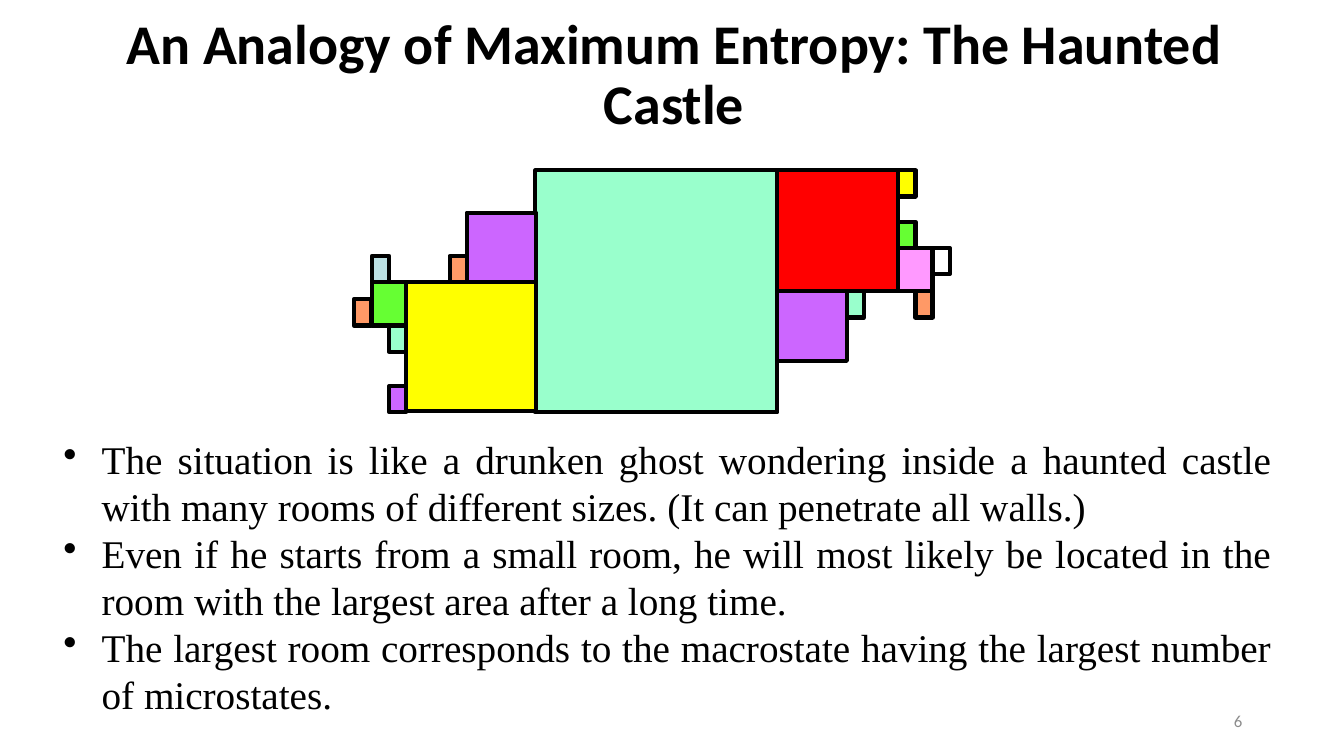
import pptx
import pptx.util
import pptx.dml.color
import pptx.enum.shapes
import pptx.enum.text
import pptx.oxml.ns
import lxml.etree

Inches, Pt = pptx.util.Inches, pptx.util.Pt
ALIGN = pptx.enum.text.PP_ALIGN
ANCHOR = pptx.enum.text.MSO_ANCHOR

COLORS = {
    "black": "000000", "gray": "8C8C8C", "white": "FFFFFF",
    "mint": "99FFCC", "yellow": "FFFF00", "red": "FF0000",
    "purple": "CC66FF", "green": "66FF33", "pink": "FF99FF",
    "ice": "BBE0E3", "orange": "FF9966",
}

TITLE = "An Analogy of Maximum Entropy: The Haunted Castle"
POINTS = [
    "The situation is like a drunken ghost wondering inside a haunted castle "
    "with many rooms of different sizes. (It can penetrate all walls.)",
    "Even if he starts from a small room, he will most likely be located in "
    "the room with the largest area after a long time.",
    "The largest room corresponds to the macrostate having the largest "
    "number of microstates.",
]

# Room sizes (width, height), each with its rooms (left, top, color)
ROOMS = {
    (2.4, 2.4): [(5.31, 1.69, "mint")],
    (1.29, 1.28): [(4.03, 2.8, "yellow")],
    (1.2, 1.2): [(7.71, 1.69, "red")],
    (0.69, 0.69): [(4.63, 2.11, "purple"), (7.71, 2.89, "purple")],
    (0.34, 0.43): [(3.69, 2.8, "green"), (8.91, 2.46, "pink")],
    (0.17, 0.26): [
        (3.69, 2.54, "ice"), (9.08, 2.89, "orange"), (3.86, 3.23, "mint"),
        (8.91, 2.2, "green"), (3.51, 2.97, "orange"), (9.25, 2.46, "white"),
        (4.46, 2.54, "orange"), (8.4, 2.89, "mint"), (3.86, 3.83, "purple"),
        (8.91, 1.69, "yellow"),
    ],
}


class Deck:
    heading_font = "Calibri"
    body_font = "Times New Roman"
    wall = 3
    indent = 0.38

    def __init__(self, prs):
        self.s = prs.slides.add_slide(prs.slide_layouts[6])

    def color(self, name):
        return pptx.dml.color.RGBColor.from_string(COLORS[name])

    def text(self, box, lines, size, font, align, color="black", bold=False,
             anchor=ANCHOR.MIDDLE, spacing=None, bullet=None):
        sp = self.s.shapes.add_textbox(*map(Inches, box))
        tf = sp.text_frame
        tf.word_wrap = True
        tf.vertical_anchor = anchor
        for i, line in enumerate(lines):
            p = tf.add_paragraph() if i else tf.paragraphs[0]
            p.alignment = align
            p.line_spacing = spacing
            if bullet:
                self.bullet(p, bullet)
            r = p.add_run()
            r.text = line
            r.font.name, r.font.size, r.font.bold = font, Pt(size), bold
            r.font.color.rgb = self.color(color)

    def bullet(self, p, char):
        pPr = p._p.get_or_add_pPr()
        pPr.set("marL", str(Inches(self.indent)))
        pPr.set("indent", str(-Inches(self.indent)))
        bu = lxml.etree.SubElement(pPr, pptx.oxml.ns.qn("a:buChar"))
        bu.set("char", char)

    def castle(self, rooms):
        group = self.s.shapes.add_group_shape()
        for size, places in rooms.items():
            for left, top, color in places:
                self.room(group, (left, top, *size), color)

    def room(self, group, box, color):
        sp = group.shapes.add_shape(
            pptx.enum.shapes.MSO_SHAPE.RECTANGLE, *map(Inches, box))
        sp.shadow.inherit = False
        sp.fill.solid()
        sp.fill.fore_color.rgb = self.color(color)
        sp.line.color.rgb = self.color("black")
        sp.line.width = Pt(self.wall)


def main():
    prs = pptx.Presentation()
    prs.slide_width, prs.slide_height = Inches(13.33), Inches(7.5)
    deck = Deck(prs)

    # Title and slide number
    deck.text((0.66, 0.33, 12.05, 0.85), [TITLE], 40, deck.heading_font,
              ALIGN.CENTER, bold=True, spacing=0.9)
    deck.text((9.42, 6.95, 3, 0.4), ["6"], 12, deck.heading_font,
              ALIGN.RIGHT, color="gray")

    # Castle floor plan
    deck.castle(ROOMS)

    # Explanation
    deck.text((0.53, 4.27, 12.18, 2.93), POINTS, 28, deck.body_font,
              ALIGN.JUSTIFY, anchor=ANCHOR.TOP, bullet="•")

    prs.save("out.pptx")


if __name__ == "__main__":
    main()
